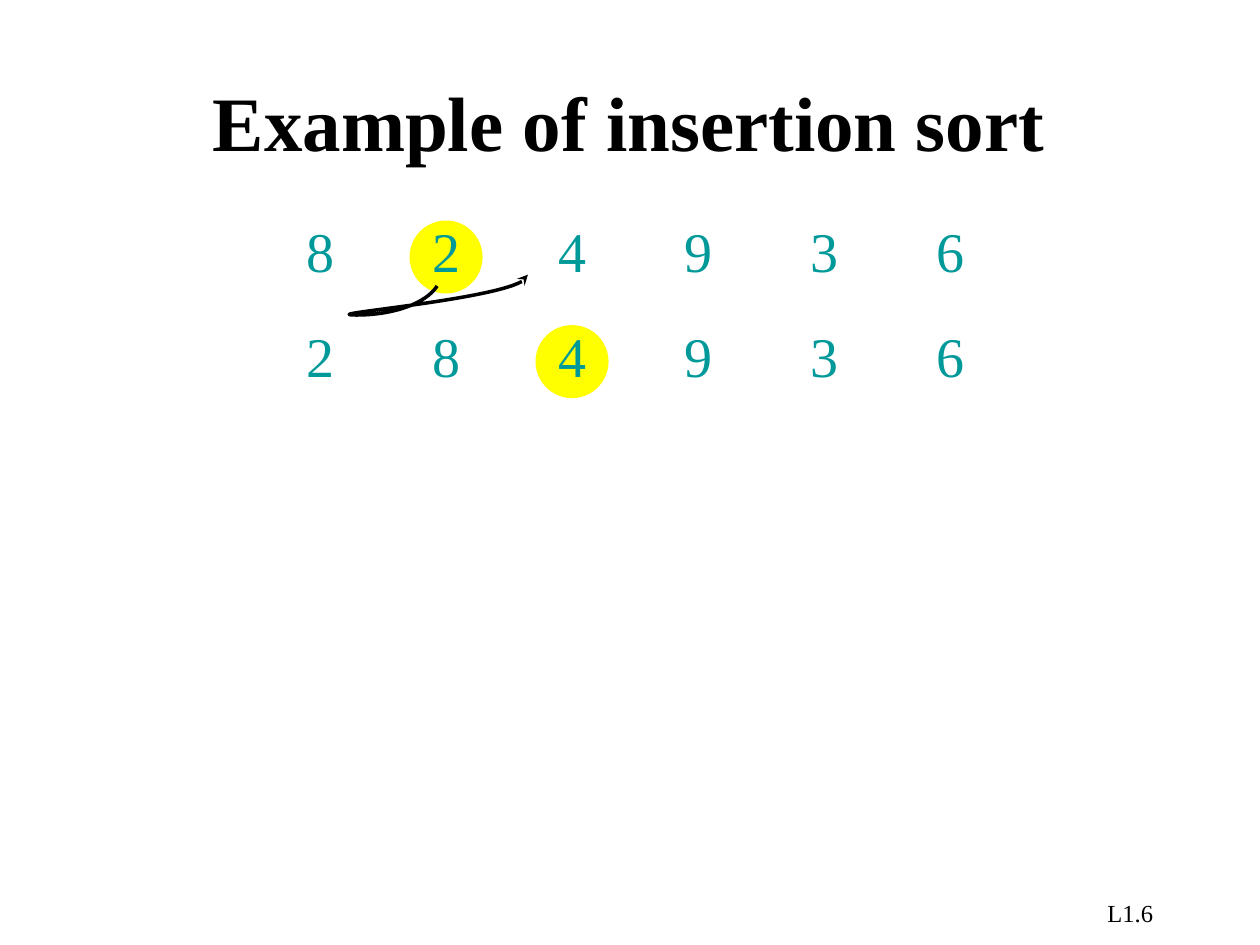
import dataclasses

import lxml.etree
import pptx
import pptx.dml.color
import pptx.enum.shapes
import pptx.enum.text
import pptx.oxml.ns
import pptx.slide
import pptx.util

FONT = "Times New Roman"
BLACK, TEAL, YELLOW = "000000", "009999", "FFFF00"
ALIGN = pptx.enum.text.PP_ALIGN
ANCHOR = pptx.enum.text.MSO_ANCHOR

# Grid of numbers: centre of the first cell and the distance between cells
FIRST_X, FIRST_Y = 2.54, 1.99
COLUMN_GAP, ROW_GAP = 1, 0.83
CELL_WIDTH, CELL_HEIGHT = 0.42, 0.64
KEY_DIAMETER, KEY_DROP = 0.58, 0.05


@dataclasses.dataclass
class SortStep:
    numbers: str
    key_column: int


STEPS = [SortStep("824936", 1), SortStep("284936", 2)]

# Two Bezier curves in hundredths of an inch: a start, then three points for each
MOVE_POINTS = [(347, 227),
               (338, 241), (312, 250), (283, 250),
               (247, 250), (420, 236), (419, 218)]


def color(value: str) -> pptx.dml.color.RGBColor:
    return pptx.dml.color.RGBColor.from_string(value)


def add_text(page: pptx.slide.Slide, text: str, left: float, top: float,
             width: float, height: float, size: int, ink: str = BLACK,
             align: ALIGN = ALIGN.LEFT, anchor: ANCHOR = ANCHOR.TOP,
             bold: bool = False, wrap: bool = True) -> None:
    box = page.shapes.add_textbox(*map(pptx.util.Inches, (left, top, width, height)))
    frame = box.text_frame
    frame.text = text
    frame.word_wrap = wrap
    frame.vertical_anchor = anchor
    para = frame.paragraphs[0]
    para.alignment = align
    font = para.runs[0].font
    font.name, font.size, font.bold = FONT, pptx.util.Pt(size), bold
    font.color.rgb = color(ink)


def add_step(page: pptx.slide.Slide, row: int, step: SortStep) -> None:
    center_y = FIRST_Y + row * ROW_GAP
    # Disc behind the number to be inserted
    key_x = FIRST_X + step.key_column * COLUMN_GAP
    disc = page.shapes.add_shape(
        pptx.enum.shapes.MSO_SHAPE.OVAL,
        pptx.util.Inches(key_x - KEY_DIAMETER / 2),
        pptx.util.Inches(center_y + KEY_DROP - KEY_DIAMETER / 2),
        pptx.util.Inches(KEY_DIAMETER), pptx.util.Inches(KEY_DIAMETER))
    disc.shadow.inherit = False
    disc.fill.solid()
    disc.fill.fore_color.rgb = color(YELLOW)
    disc.line.fill.background()
    # Numbers
    for column, number in enumerate(step.numbers):
        center_x = FIRST_X + column * COLUMN_GAP
        add_text(page, number, center_x - CELL_WIDTH / 2, center_y - CELL_HEIGHT / 2,
                 CELL_WIDTH, CELL_HEIGHT, 32, TEAL, ALIGN.CENTER, wrap=False)


def add_curved_arrow(page: pptx.slide.Slide, points: list[tuple[int, int]]) -> None:
    qn = pptx.oxml.ns.qn
    builder = page.shapes.build_freeform(*points[0], scale=pptx.util.Inches(0.01))
    builder.add_line_segments(points[1:], close=False)
    arrow = builder.convert_to_shape()
    arrow.shadow.inherit = False
    arrow.fill.background()
    arrow.line.color.rgb = color(BLACK)
    arrow.line.width = pptx.util.Pt(2)
    # Turn every three straight segments into one Bezier curve
    segments = arrow._element.xpath(".//a:lnTo")
    outline = segments[0].getparent()
    for start in range(0, len(segments), 3):
        curve = lxml.etree.SubElement(outline, qn("a:cubicBezTo"))
        for segment in segments[start:start + 3]:
            curve.append(segment[0])
            outline.remove(segment)
    lxml.etree.SubElement(arrow.line._get_or_add_ln(), qn("a:tailEnd"), type="stealth")


def main() -> None:
    deck = pptx.Presentation()
    deck.slide_width, deck.slide_height = pptx.util.Inches(10), pptx.util.Inches(7.5)
    page = deck.slides.add_slide(deck.slide_layouts[6])

    # Page number and title
    add_text(page, "L1.6", 7.17, 7.08, 2.08, 0.25, 14, align=ALIGN.RIGHT)
    add_text(page, "Example of insertion sort", 1.59, 0.33, 8.25, 1.25, 44,
             anchor=ANCHOR.MIDDLE, bold=True)

    # Steps of the sort and the move between them
    for row, step in enumerate(STEPS):
        add_step(page, row, step)
    add_curved_arrow(page, MOVE_POINTS)

    deck.save("out.pptx")


if __name__ == "__main__":
    main()
